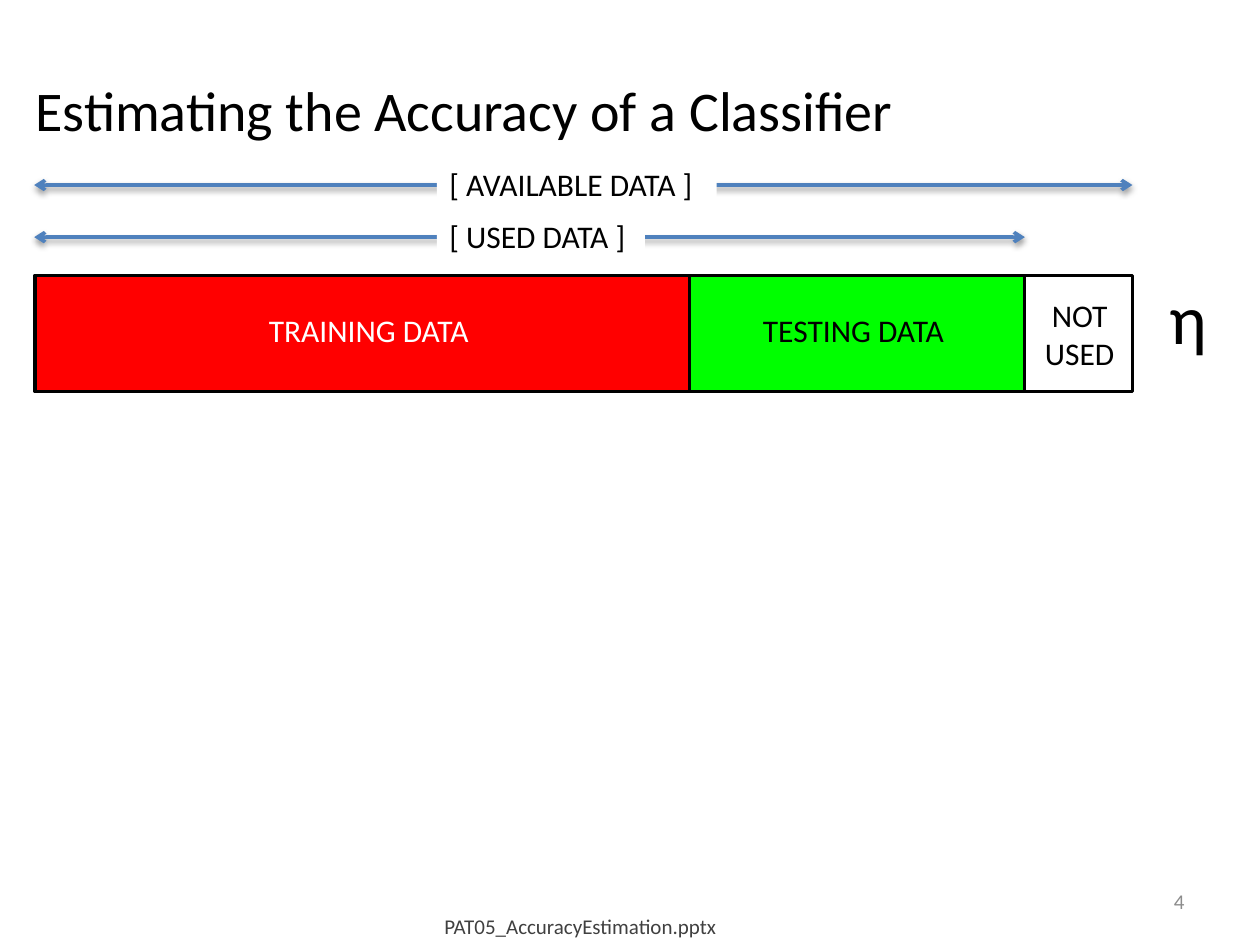
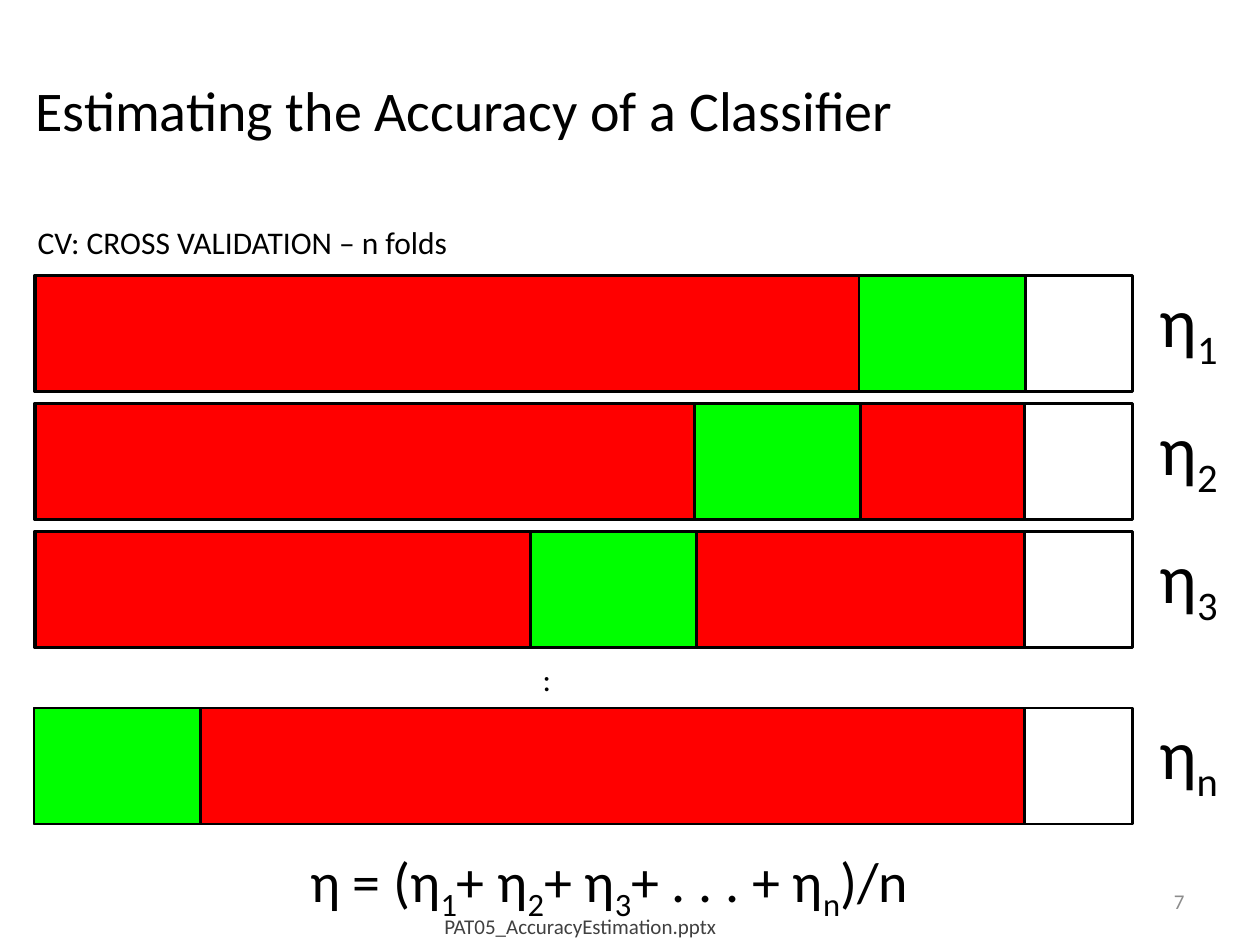
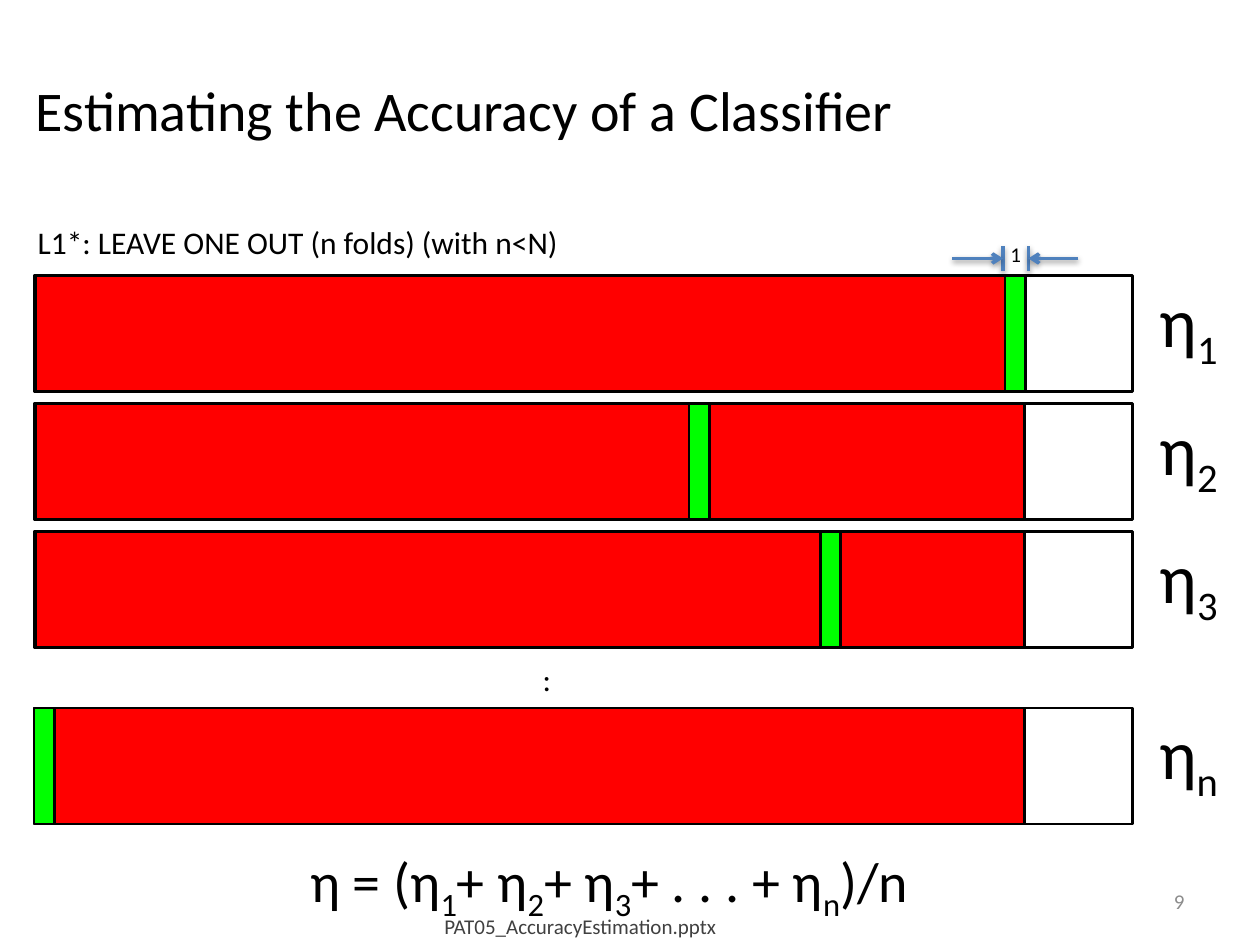
from lxml import etree
from pptx import Presentation
from pptx.dml.color import RGBColor
from pptx.enum.shapes import MSO_CONNECTOR, MSO_SHAPE
from pptx.enum.text import MSO_ANCHOR, MSO_AUTO_SIZE, PP_ALIGN
from pptx.oxml import parse_xml
from pptx.oxml.ns import nsdecls, qn
from pptx.util import Cm, Pt

LEFT, CENTER, RIGHT = PP_ALIGN.LEFT, PP_ALIGN.CENTER, PP_ALIGN.RIGHT
TOP, MIDDLE = MSO_ANCHOR.TOP, MSO_ANCHOR.MIDDLE
RECTANGLE, STRAIGHT = MSO_SHAPE.RECTANGLE, MSO_CONNECTOR.STRAIGHT
FIT_SHAPE = MSO_AUTO_SIZE.SHAPE_TO_FIT_TEXT

FONT = "Calibri"
COLORS = {
    "black": "000000", "white": "FFFFFF", "training": "FF0000", "testing": "00FF00",
    "arrow": "4F81BD", "number": "8C8C8C", "footer": "404040",
}
TITLE = "Estimating the Accuracy of a Classifier"
FOOTER = "PAT05_AccuracyEstimation.pptx"
MEAN = "η = (η|1|+ η|2|+ η|3|+ . . . + η|n|)/n"
SHADOW = (
    f'<a:effectLst {nsdecls("a")}><a:outerShdw blurRad="40000" dist="20000" dir="5400000" '
    'rotWithShape="0"><a:srgbClr val="000000"><a:alpha val="38000"/></a:srgbClr>'
    '</a:outerShdw></a:effectLst>'
)

# Bar geometry in cm
BAR_LEFT, BAR_RIGHT, BAR_HEIGHT = 0.69, 22.83, 2.34
TRAIN_LEFT, USED_RIGHT = 0.73, 20.66
ROW_TOPS = [5.56, 8.14, 10.72, 14.27]
ETA_CENTER = 23.96


def add_text(s, text, x, y, w, h, size, color="black", align=LEFT, fill=None,
             spacing=None, wrap=False, anchor=TOP):
    """Add a text box; "|" switches subscript on and off within a line."""
    sp = s.shapes.add_textbox(Cm(x), Cm(y), Cm(w), Cm(h))
    if fill:
        sp.fill.solid()
        sp.fill.fore_color.rgb = RGBColor.from_string(COLORS[fill])
    tf = sp.text_frame
    tf.word_wrap = wrap
    tf.vertical_anchor = anchor
    if anchor == TOP:
        tf.auto_size = FIT_SHAPE
    for i, line in enumerate(text.split("\n")):
        p = tf.add_paragraph() if i else tf.paragraphs[0]
        p.alignment = align
        p.line_spacing = spacing
        for j, part in enumerate(line.split("|")):
            r = p.add_run()
            r.text = part
            r.font.name, r.font.size = FONT, Pt(size)
            r.font.color.rgb = RGBColor.from_string(COLORS[color])
            if j % 2:
                r.font._element.set("baseline", "-25000")


def add_line(s, x1, y1, x2, y2, ends=()):
    """Add a shadowed line with arrowheads at the named ends."""
    line = s.shapes.add_connector(STRAIGHT, Cm(x1), Cm(y1), Cm(x2), Cm(y2))
    line.line.width = Pt(2)
    line.line.color.rgb = RGBColor.from_string(COLORS["arrow"])
    for end in ends:
        etree.SubElement(line.line._get_or_add_ln(), qn(f"a:{end}"), type="arrow")
    line._element.spPr.append(parse_xml(SHADOW))


prs = Presentation()
prs.slide_width, prs.slide_height = Cm(25.4), Cm(19.05)

# Each row: right edge of training data, left edge of testing data, accuracy label
decks = [
    ("4", None, 6.75, [(13.9, 13.91, "η")]),
    ("7", ("CV: CROSS VALIDATION – n folds", 8.99), 3.35, [
        (17.32, 17.32, "η|1"), (USED_RIGHT, 14.0, "η|2"),
        (USED_RIGHT, 10.69, "η|3"), (USED_RIGHT, BAR_LEFT, "η|n")]),
    ("9", ("L1*: LEAVE ONE OUT (n folds) (with n<N)", 11.15), 0.41, [
        (USED_RIGHT, 20.26, "η|1"), (USED_RIGHT, 13.89, "η|2"),
        (USED_RIGHT, 16.54, "η|3"), (USED_RIGHT, BAR_LEFT, "η|n")]),
]

for number, caption, test_width, rows in decks:
    s = prs.slides.add_slide(prs.slide_layouts[5])
    title = s.shapes.title
    title.left, title.top, title.width, title.height = Cm(0.46), Cm(1.4), Cm(18.01), Cm(1.63)
    tf = title.text_frame
    tf.text = TITLE
    tf.word_wrap = False
    tf.auto_size = FIT_SHAPE
    tf.vertical_anchor = TOP
    p = tf.paragraphs[0]
    p.alignment = LEFT
    font = p.runs[0].font
    font.name, font.size = FONT, Pt(32)
    font.color.rgb = RGBColor.from_string(COLORS["black"])

    for top, (train_right, test_left, eta) in zip(ROW_TOPS, rows):
        for left, right, fill in [
            (BAR_LEFT, BAR_RIGHT, None),
            (TRAIN_LEFT, train_right, "training"),
            (test_left, test_left + test_width, "testing"),
        ]:
            sp = s.shapes.add_shape(RECTANGLE, Cm(left), Cm(top), Cm(right - left), Cm(BAR_HEIGHT))
            sp.shadow.inherit = False
            sp.line.width = Pt(1.5)
            sp.line.color.rgb = RGBColor.from_string(COLORS["black"])
            if fill:
                sp.fill.solid()
                sp.fill.fore_color.rgb = RGBColor.from_string(COLORS[fill])
            else:
                sp.fill.background()
        eta_width = 1.75 if "|" in eta else 1.27
        add_text(s, eta, ETA_CENTER - eta_width / 2, top - 0.48, eta_width, 2.26, 40,
                 align=CENTER, spacing=1.2)

    if caption:
        text, width = caption
        add_text(s, text, 0.51, 4.37, width, 1.02, 18, fill="white")
        add_text(s, ":", 10.69, 13.18, 0.69, 1.02, 18)
        add_text(s, MEAN, 5.64, 16.64, 13.28, 1.85, 32, align=CENTER, spacing=1.2, wrap=True)
    add_text(s, number, 18.21, 17.65, 5.92, 1.02, 12, "number", RIGHT, wrap=True, anchor=MIDDLE)
    add_text(s, FOOTER, 8.71, 18.29, 6.07, 0.76, 12, "footer")

# Data ranges and bar labels on the first slide
s = prs.slides[0]
for label, y, right, width in [
    ("[ AVAILABLE DATA ]", 3.73, BAR_RIGHT, 5.64),
    ("[ USED DATA ]", 4.78, USED_RIGHT, 4.19),
]:
    add_line(s, BAR_LEFT, y, right, y, ("headEnd", "tailEnd"))
    add_text(s, label, 8.81, y - 0.53, width, 1.02, 18, fill="white")
add_text(s, "TRAINING DATA", 5.17, 6.15, 4.89, 1.02, 18, "white")
add_text(s, "TESTING DATA", 15.13, 6.15, 4.33, 1.02, 18)
add_text(s, "NOT\nUSED", 20.8, 5.84, 1.93, 1.8, 18, align=CENTER, fill="white")

# Width marker of the single test sample on the last slide
s = prs.slides[2]
add_text(s, "1", 20.12, 4.75, 0.74, 0.76, 12)
for edge, start in [(20.22, 19.2), (20.73, 21.74)]:
    add_line(s, edge, 4.96, edge, 5.47)
    add_line(s, start, 5.21, edge, 5.21, ("tailEnd",))

prs.save("out.pptx")
